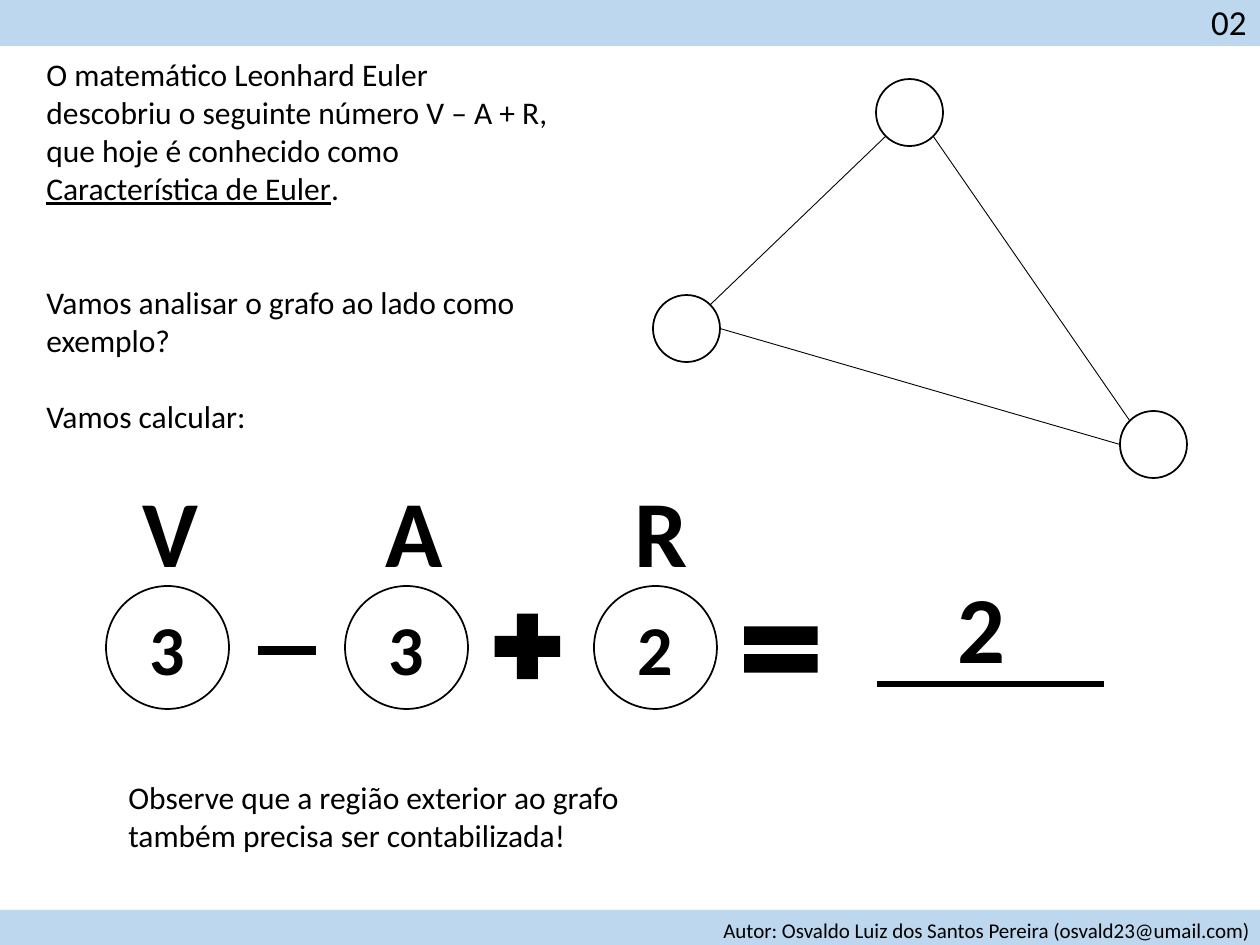
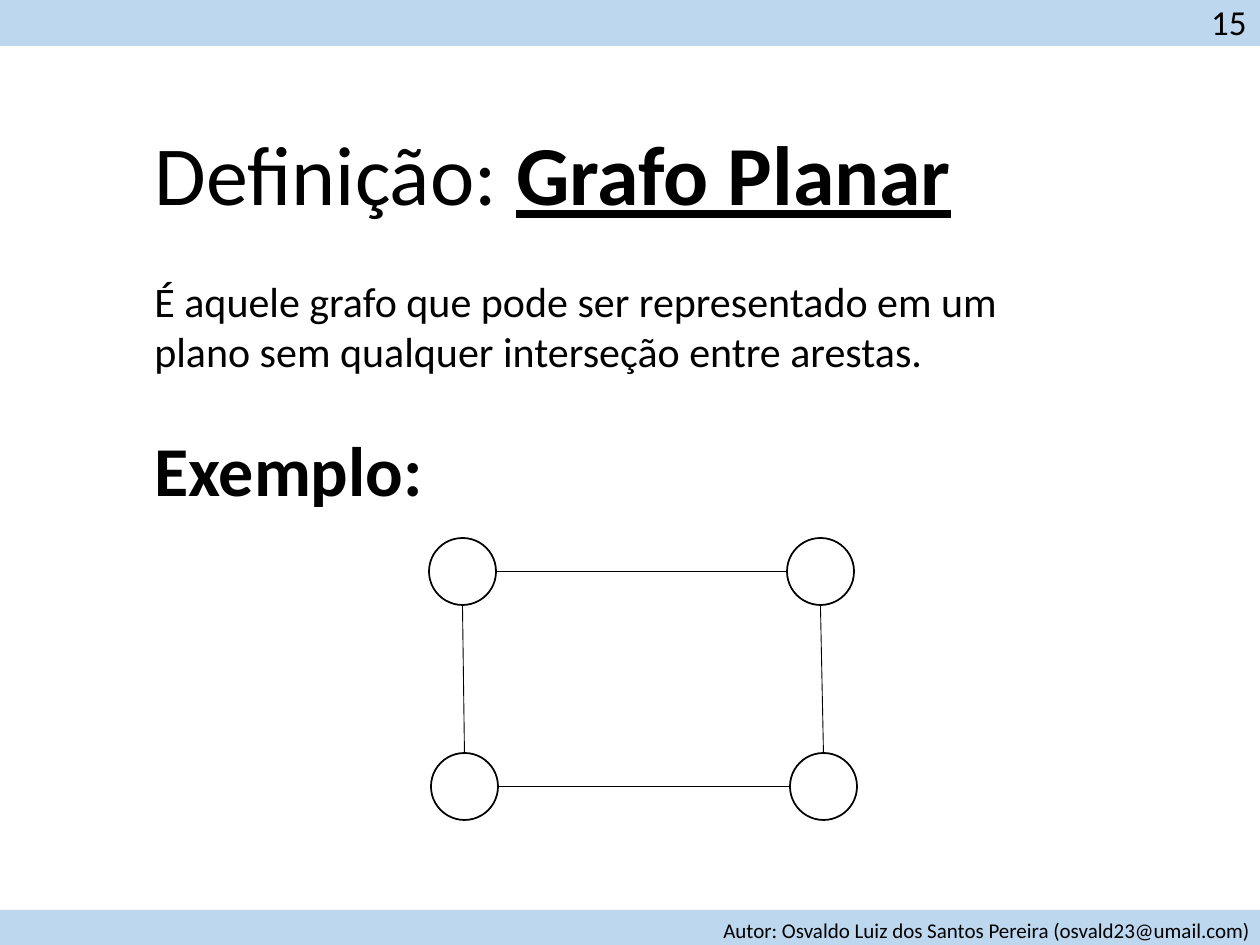
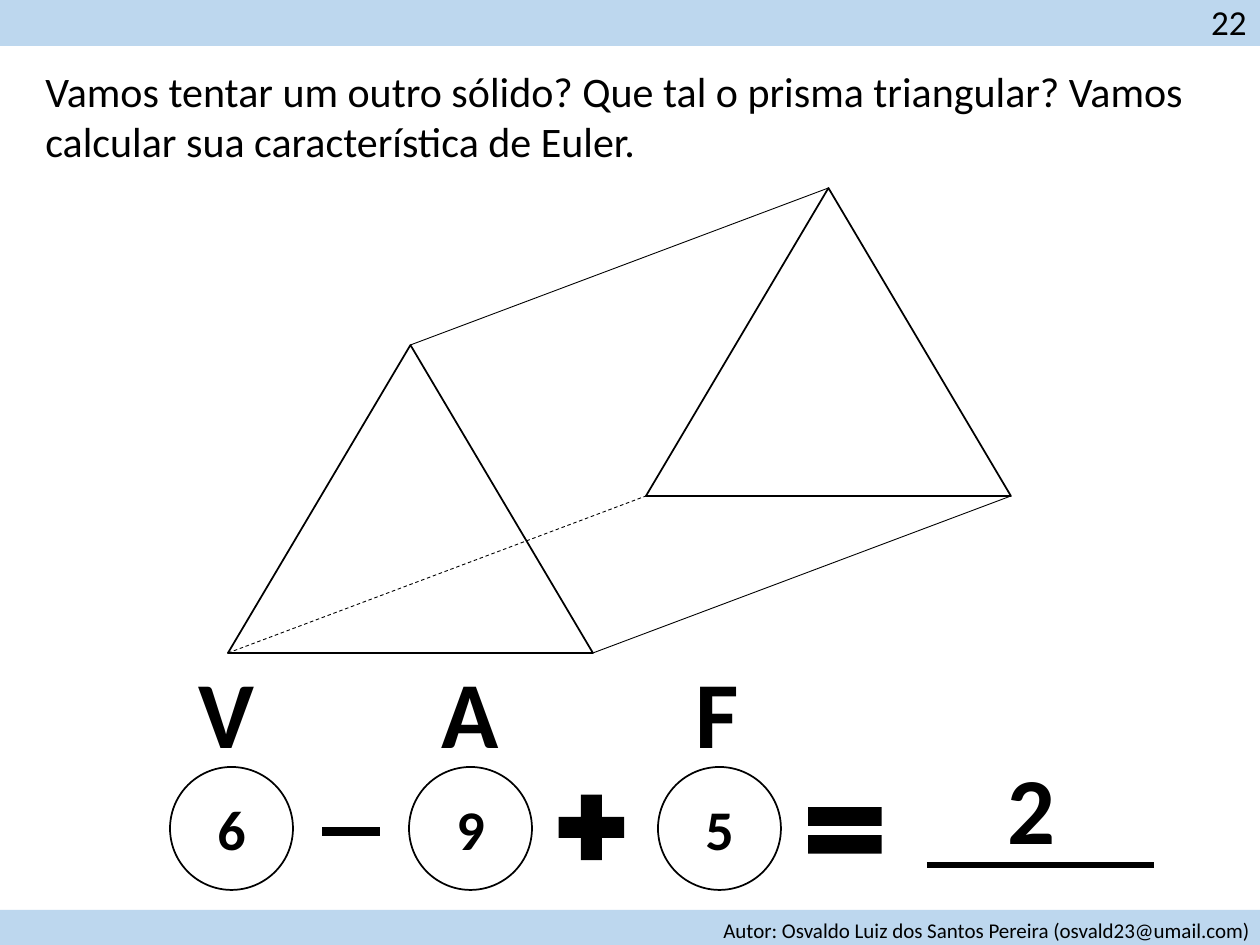
from pptx import Presentation
from pptx.dml.color import RGBColor
from pptx.enum.dml import MSO_LINE
from pptx.enum.shapes import MSO_CONNECTOR, MSO_SHAPE
from pptx.enum.text import MSO_ANCHOR, PP_ALIGN
from pptx.oxml.ns import qn
from pptx.util import Emu, Pt
from lxml import etree
from math import cos, radians, sin

PX = 914400 // 126
SLIDE_W, SLIDE_H = 1260, 945
FONT = "Calibri"
COLORS = {"ink": "000000", "band": "BDD7EE"}

AUTHOR = "Autor: Osvaldo Luiz dos Santos Pereira (osvald23@umail.com)"
BANDS = [(0, 910, SLIDE_W, 35), (0, 0, SLIDE_W, 46)]
AUTHOR_BOX = (711, 911, 557, 38)
PAGE_BOX = (1198, -6, 62, 55)

NODE = 67
TERM = 123
TERM_STEPS = (0, 239, 488)
LETTER_STEPS = (0, 244, 491)
LETTER_W, LETTER_H = 110, 127
OPERATORS = [
    (MSO_SHAPE.MATH_MINUS, 142, 45, 79, 39),
    (MSO_SHAPE.MATH_PLUS, 377, 16, 89, 89),
    (MSO_SHAPE.MATH_EQUAL, 625, 24, 100, 79),
]
COMPASS = {"E": 0, "SE": 45, "S": 90, "SW": 135, "W": 180, "NW": 225, "N": 270, "NE": 315}

EULER = {
    "page": "02",
    "texts": [
        ((34, 49, 538, 394), [
            {"runs": [("O matemático Leonhard Euler descobriu o seguinte número V – A + R, que hoje é conhecido como ", {}),
                      ("Característica de Euler", {"underline": True}), (".", {})]},
            {"runs": [("Vamos analisar o grafo ao lado como", {})], "before": 44},
            {"runs": [("exemplo?", {})]},
            {"runs": [("Vamos calcular:", {})], "before": 22},
        ], 18),
        ((116, 772, 538, 89), [
            {"runs": [("Observe que a região exterior ao grafo também precisa ser contabilizada!", {})]},
        ], 18),
    ],
    "nodes": [(876, 79), (653, 295), (1120, 411)],
    "edges": [(1, "NE", 0, "SW"), (2, "NW", 0, "SE"), (2, "W", 1, "E")],
    "equation": {"letters": "VAR", "values": "332", "result": "2", "top": 586, "size": 40,
                 "terms_left": 106, "letters_left": 115, "result_left": 877},
}

PLANAR = {
    "page": "15",
    "title": ((142, 115, 959, 115), [
        {"runs": [("Definição: ", {}), ("Grafo Planar", {"bold": True, "underline": True})]},
    ], 48),
    "texts": [
        ((142, 269, 959, 251), [
            {"runs": [("É aquele grafo que pode ser representado em um plano sem qualquer interseção entre arestas.", {})]},
            {"runs": [("Exemplo:", {"bold": True, "size": Pt(40)})], "before": 29},
        ], 24),
    ],
    "nodes": [(429, 538), (431, 753), (790, 753), (787, 538)],
    "edges": [(1, "N", 0, "S"), (3, "W", 0, "E"), (2, "W", 1, "E"), (2, "N", 3, "S")],
}

PRISM = {
    "page": "22",
    "texts": [
        ((33, 59, 1165, 115), [
            {"runs": [("Vamos tentar um outro sólido? Que tal o prisma triangular? Vamos calcular sua característica de Euler.", {})]},
        ], 24),
    ],
    "prism": {"front": (228, 345, 365, 308), "depth": (418, -157)},
    "equation": {"letters": "VAF", "values": "695", "result": "2", "top": 767, "size": 32,
                 "terms_left": 170, "letters_left": 171, "result_left": 927},
}


def rgb(name):
    return RGBColor.from_string(COLORS[name])


def px(*lengths):
    return [Emu(round(length * PX)) for length in lengths]


def write(frame, paragraphs, size, align=PP_ALIGN.LEFT, anchor=MSO_ANCHOR.TOP, **style):
    frame.word_wrap = True
    frame.vertical_anchor = anchor
    for index, content in enumerate(paragraphs):
        paragraph = frame.paragraphs[0] if index == 0 else frame.add_paragraph()
        paragraph.alignment = align
        if "before" in content:
            paragraph.space_before = Pt(content["before"])
        for text, emphasis in content["runs"]:
            run = paragraph.add_run()
            run.text = text
            run.font.color.rgb = rgb("ink")
            formats = {"name": FONT, "size": Pt(size), **style, **emphasis}
            for key, value in formats.items():
                setattr(run.font, key, value)


def add_text(slide, box, paragraphs, size, **style):
    write(slide.shapes.add_textbox(*px(*box)).text_frame, paragraphs, size, **style)


def add_label(slide, box, text, size, **style):
    add_text(slide, box, [{"runs": [(text, {})]}], size, **style)


def add_centred(slide, box, text, size, **style):
    add_label(slide, box, text, size, align=PP_ALIGN.CENTER, anchor=MSO_ANCHOR.MIDDLE, **style)


def add_solid(slide, kind, box, color):
    solid = slide.shapes.add_shape(kind, *px(*box))
    solid.shadow.inherit = False
    solid.fill.solid()
    solid.fill.fore_color.rgb = rgb(color)
    solid.line.fill.background()


def add_outline(slide, kind, box):
    outline = slide.shapes.add_shape(kind, *px(*box))
    outline.shadow.inherit = False
    outline.fill.background()
    outline.line.color.rgb = rgb("ink")
    outline.line.width = Pt(1)
    return outline


def add_line(slide, start, end, width=0.5, dash=None):
    line = slide.shapes.add_connector(MSO_CONNECTOR.STRAIGHT, *px(*start, *end))
    line.line.color.rgb = rgb("ink")
    line.line.width = Pt(width)
    if dash:
        line.line.dash_style = dash
    etree.SubElement(line._element.spPr, qn("a:effectLst"))


def rim(node, direction):
    angle = radians(COMPASS[direction])
    radius = NODE / 2
    return node[0] + radius * (1 + cos(angle)), node[1] + radius * (1 + sin(angle))


def add_graph(slide, nodes, edges):
    for node in nodes:
        add_outline(slide, MSO_SHAPE.OVAL, (*node, NODE, NODE))
    for start, start_side, end, end_side in edges:
        add_line(slide, rim(nodes[start], start_side), rim(nodes[end], end_side))


def add_prism(slide, front, depth):
    left, top, width, height = front
    dx, dy = depth
    for x, y in ((left, top), (left + dx, top + dy)):
        add_outline(slide, MSO_SHAPE.ISOSCELES_TRIANGLE, (x, y, width, height))
    corners = [
        (left + width / 2, top, None),
        (left, top + height, MSO_LINE.DASH),
        (left + width, top + height, None),
    ]
    for x, y, dash in corners:
        add_line(slide, (x, y), (x + dx, y + dy), dash=dash)


def add_equation(slide, letters, values, result, top, size, terms_left, letters_left, result_left):
    for value, step in zip(values, TERM_STEPS):
        term = add_outline(slide, MSO_SHAPE.OVAL, (terms_left + step, top, TERM, TERM))
        write(term.text_frame, [{"runs": [(value, {})]}], size,
              align=PP_ALIGN.CENTER, anchor=MSO_ANCHOR.MIDDLE, bold=True)
    for kind, dx, dy, width, height in OPERATORS:
        add_solid(slide, kind, (terms_left + dx, top + dy, width, height), "ink")
    for letter, step in zip(letters, LETTER_STEPS):
        add_centred(slide, (letters_left + step, top - 120, LETTER_W, LETTER_H), letter, 54, bold=True)
    add_line(slide, (result_left, top + 98), (result_left + 227, top + 98), width=3)
    add_centred(slide, (result_left + 49, top - 24, LETTER_W, LETTER_H), result, 54, bold=True)


def add_title(slide, box, paragraphs, size):
    title = slide.shapes.title
    for side, length in zip(("left", "top", "width", "height"), px(*box)):
        setattr(title, side, length)
    write(title.text_frame, paragraphs, size)


def add_bands(slide, page):
    for band in BANDS:
        add_solid(slide, MSO_SHAPE.RECTANGLE, band, "band")
    add_label(slide, AUTHOR_BOX, AUTHOR, 12)
    add_centred(slide, PAGE_BOX, page, 20)


def build_slide(deck, content):
    slide = deck.slides.add_slide(deck.slide_layouts[5 if "title" in content else 6])
    if "title" in content:
        add_title(slide, *content["title"])
    for box, paragraphs, size in content["texts"]:
        add_text(slide, box, paragraphs, size)
    if "nodes" in content:
        add_graph(slide, content["nodes"], content["edges"])
    if "prism" in content:
        add_prism(slide, **content["prism"])
    if "equation" in content:
        add_equation(slide, **content["equation"])
    add_bands(slide, content["page"])


def main():
    deck = Presentation()
    deck.slide_width, deck.slide_height = px(SLIDE_W, SLIDE_H)
    for content in (EULER, PLANAR, PRISM):
        build_slide(deck, content)
    deck.save("out.pptx")


if __name__ == "__main__":
    main()
